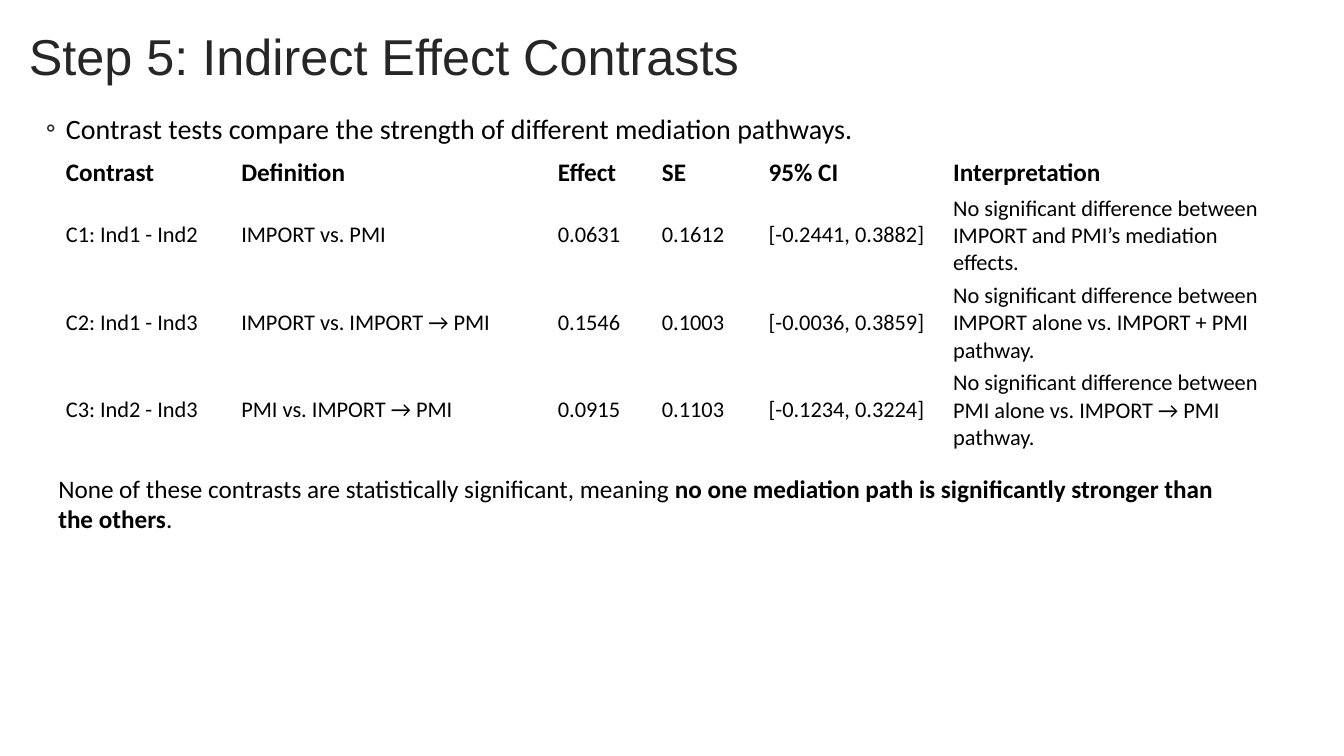
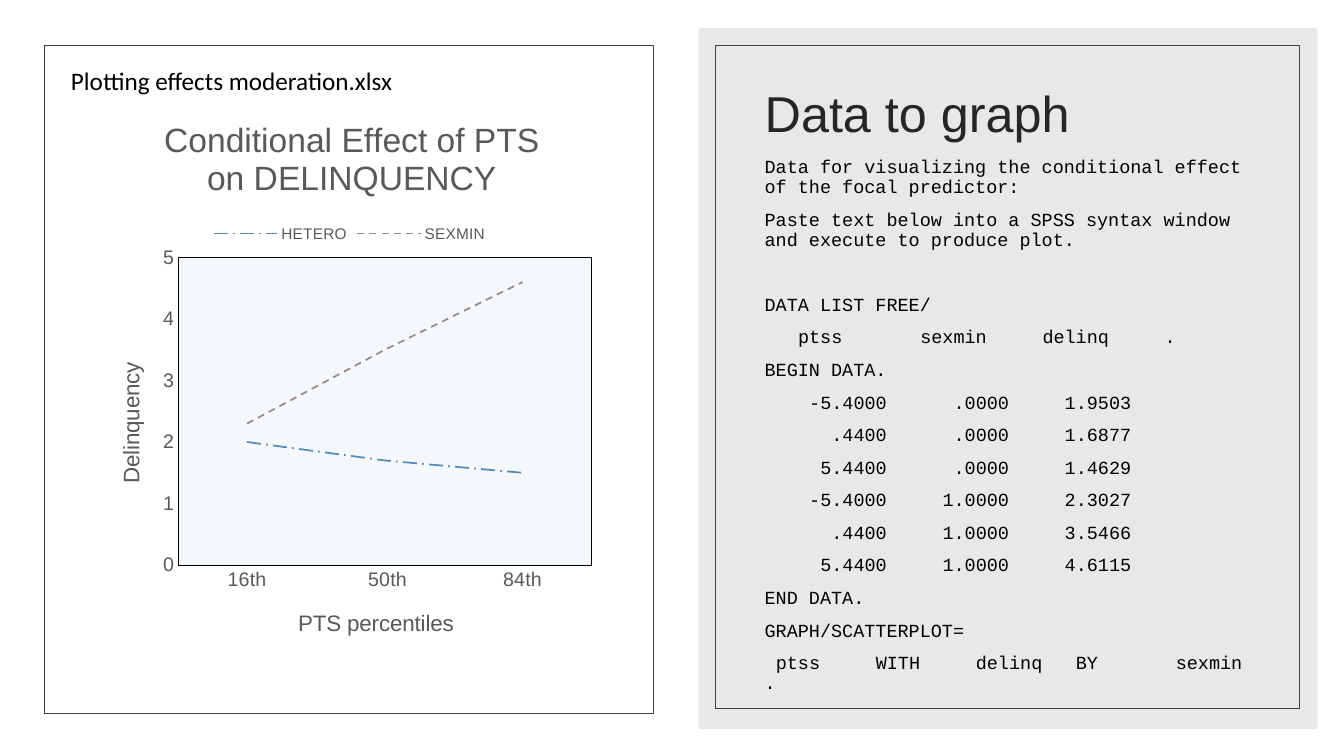
from lxml import etree
from pptx import Presentation
from pptx.chart.data import CategoryChartData
from pptx.dml.color import RGBColor
from pptx.enum.chart import XL_CHART_TYPE, XL_LEGEND_POSITION, XL_MARKER_STYLE, XL_TICK_MARK
from pptx.enum.dml import MSO_LINE
from pptx.enum.shapes import MSO_SHAPE
from pptx.enum.text import MSO_ANCHOR
from pptx.oxml.ns import qn
from pptx.util import Cm, Pt

LINE_CHART = XL_CHART_TYPE.LINE
LEGEND_TOP = XL_LEGEND_POSITION.TOP
NO_MARKER = XL_MARKER_STYLE.NONE
NO_TICK = XL_TICK_MARK.NONE
LONG_DASH_DOT, DASH = MSO_LINE.LONG_DASH_DOT, MSO_LINE.DASH
RECTANGLE = MSO_SHAPE.RECTANGLE
TOP, MIDDLE = MSO_ANCHOR.TOP, MSO_ANCHOR.MIDDLE

COLORS = {
    "text": "000000", "title": "262626", "chart_text": "595959", "frame": "404040",
    "panel": "D9D9D9", "plot": "D4E2ED", "hetero": "558BB8", "sexmin": "968C8C",
}
STYLES = {
    "title": {"name": "Arial", "size": Pt(36), "color": "title"},
    "bullet": {"name": "Calibri", "size": Pt(20), "color": "text"},
    "body": {"name": "Calibri", "size": Pt(18), "color": "text"},
    "header": {"name": "Calibri", "size": Pt(18), "color": "text", "bold": True},
    "cell": {"name": "Calibri", "size": Pt(16), "color": "text", "bold": False},
    "code": {"name": "Courier New", "size": Pt(13.2), "color": "text"},
    "chart": {"name": "Arial", "size": Pt(10), "color": "text"},
    "chart_title": {"name": "Arial", "size": Pt(24), "color": "chart_text", "bold": False},
    "axis_title": {"name": "Arial", "size": Pt(16), "color": "chart_text", "bold": False},
    "axis_labels": {"name": "Arial", "size": Pt(14), "color": "chart_text"},
    "legend": {"name": "Arial", "size": Pt(11), "color": "chart_text"},
}

# Contrast slide
CONTRAST_TITLE = "Step 5: Indirect Effect Contrasts"
CONTRAST_BULLET = "Contrast tests compare the strength of different mediation pathways."
CONTRAST_WIDTHS = [4.42, 7.98, 2.62, 2.69, 4.65, 8.51]
CONTRAST_ROWS = [
    ("Contrast", "Definition", "Effect", "SE", "95% CI", "Interpretation"),
    ("C1: Ind1 - Ind2", "IMPORT vs. PMI", "0.0631", "0.1612", "[-0.2441, 0.3882]",
     "No significant difference between IMPORT and PMI’s mediation effects."),
    ("C2: Ind1 - Ind3", "IMPORT vs. IMPORT → PMI", "0.1546", "0.1003", "[-0.0036, 0.3859]",
     "No significant difference between IMPORT alone vs. IMPORT + PMI pathway."),
    ("C3: Ind2 - Ind3", "PMI vs. IMPORT → PMI", "0.0915", "0.1103", "[-0.1234, 0.3224]",
     "No significant difference between PMI alone vs. IMPORT → PMI pathway."),
]
CONCLUSION = [
    ("None of these contrasts are statistically significant, meaning ", False),
    ("no one mediation path is significantly stronger than the others", True),
    (".", False),
]

# Graph slide
GRAPH_TITLE = "Data to graph"
GRAPH_CAPTION = "Plotting effects moderation.xlsx"
GRAPH_DATA = [
    ("-5.4000", ".0000", "1.9503"),
    (".4400", ".0000", "1.6877"),
    ("5.4400", ".0000", "1.4629"),
    ("-5.4000", "1.0000", "2.3027"),
    (".4400", "1.0000", "3.5466"),
    ("5.4400", "1.0000", "4.6115"),
]
# Each line: text cells, character columns where they end, space before in points
GAP, SECTION_GAP = 9, 32.3
SYNTAX_LINES = [
    (["Data for visualizing the conditional effect of the focal predictor:"], [], GAP),
    (["Paste text below into a SPSS syntax window and execute to produce plot."], [], GAP),
    (["DATA LIST FREE/"], [], SECTION_GAP),
    (["ptss", "sexmin", "delinq", "."], [7, 20, 31, 37], GAP),
    (["BEGIN DATA."], [], GAP),
    *[(row, [11, 22, 33], GAP) for row in GRAPH_DATA],
    (["END DATA."], [], GAP),
    (["GRAPH/SCATTERPLOT="], [], GAP),
    (["ptss", "WITH", "delinq", "BY", "sexmin"], [5, 14, 25, 30, 43], GAP),
    (["."], [], 0),
]
CHARACTER_WIDTH = 0.28
CHART_TITLE = "Conditional Effect of PTS on DELINQUENCY"
CATEGORIES = ["16th", " 50th", "84th"]
SERIES = [
    ("HETERO", (2, 1.7, 1.5), "hetero", LONG_DASH_DOT),
    ("SEXMIN", (2.3, 3.5, 4.6), "sexmin", DASH),
]
# Fractions of the chart: left, top and, for the plot, width and height
CHART_LAYOUT = {
    "title": (0.12, 0.02), "category_title": (0.39, 0.9), "value_title": (0.03, 0.46),
    "plot": (0.16, 0.28, 0.82, 0.55),
}
# Position, fill, opacity in percent, line
PANELS = [
    ((1.12, 1.14, 15.35, 16.84), None, None, "frame"),
    ((17.61, 0.71, 15.59, 17.66), "panel", 60, None),
    ((18.02, 1.14, 14.73, 16.72), None, None, "frame"),
]


def rgb(name):
    return RGBColor.from_string(COLORS[name])


def apply_style(font, style):
    for attribute, value in STYLES[style].items():
        if attribute == "color":
            font.color.rgb = rgb(value)
        else:
            setattr(font, attribute, value)


def set_opacity(fill_parent, percent):
    color = fill_parent.find(qn("a:solidFill")).find(qn("a:srgbClr"))
    etree.SubElement(color, qn("a:alpha"), val=str(percent * 1000))


def write(paragraph, text, style, **formats):
    for attribute, value in formats.items():
        setattr(paragraph, attribute, value)
    run = paragraph.add_run()
    run.text = text
    apply_style(run.font, style)
    return run


def add_text_frame(slide, position, anchor=TOP, wrap=True):
    frame = slide.shapes.add_textbox(*map(Cm, position)).text_frame
    frame.word_wrap = wrap
    frame.vertical_anchor = anchor
    return frame


def add_title(slide, text, position):
    frame = add_text_frame(slide, position, MIDDLE)
    write(frame.paragraphs[0], text, "title", line_spacing=0.9)


def add_bullet(paragraph, character, indent):
    properties = paragraph._p.get_or_add_pPr()
    properties.set("marL", str(indent))
    properties.set("indent", str(-indent))
    bullet_color = etree.SubElement(properties, qn("a:buClr"))
    etree.SubElement(bullet_color, qn("a:srgbClr"), val=COLORS["title"])
    etree.SubElement(properties, qn("a:buFont"), typeface=STYLES["bullet"]["name"])
    etree.SubElement(properties, qn("a:buChar"), char=character)


def add_right_tabs(paragraph, columns):
    tab_list = etree.SubElement(paragraph._p.get_or_add_pPr(), qn("a:tabLst"))
    for column in columns:
        etree.SubElement(tab_list, qn("a:tab"), pos=str(Cm(column * CHARACTER_WIDTH)), algn="r")


def add_contrast_table(slide):
    row_heights = [0.94] + [2.2] * (len(CONTRAST_ROWS) - 1)
    table = slide.shapes.add_table(
        len(CONTRAST_ROWS), len(CONTRAST_WIDTHS), Cm(1.53), Cm(3.89),
        Cm(sum(CONTRAST_WIDTHS)), Cm(sum(row_heights))).table
    table.first_row = table.horz_banding = False
    for column, width in zip(table.columns, CONTRAST_WIDTHS):
        column.width = Cm(width)
    cell_formats = {
        "vertical_anchor": MIDDLE, "margin_left": Cm(0.13), "margin_right": Cm(0.13),
        "margin_top": Cm(0.08), "margin_bottom": Cm(0.08),
    }
    for row_index, (row, height, texts) in enumerate(zip(table.rows, row_heights, CONTRAST_ROWS)):
        row.height = Cm(height)
        for cell, text in zip(row.cells, texts):
            cell.fill.background()
            for attribute, value in cell_formats.items():
                setattr(cell, attribute, value)
            write(cell.text_frame.paragraphs[0], text, "cell" if row_index else "header")


def place(element, left, top, width=None, height=None):
    """Give a chart part a fixed place, in fractions of the chart."""
    for automatic in element.findall(qn("c:layout")):
        element.remove(automatic)
    layout = etree.Element(qn("c:layout"))
    manual = etree.SubElement(layout, qn("c:manualLayout"))
    values = [("xMode", "edge"), ("yMode", "edge"), ("x", left), ("y", top)]
    if width:
        values = [("layoutTarget", "inner"), *values, ("w", width), ("h", height)]
    for tag, value in values:
        etree.SubElement(manual, qn(f"c:{tag}"), val=str(value))
    text = element.find(qn("c:tx"))
    element.insert(0 if text is None else element.index(text) + 1, layout)


def add_chart_text(title, text, style, part):
    write(title.text_frame.paragraphs[0], text, style)
    place(title._element, *CHART_LAYOUT[part])


def style_plot_area(chart):
    plot_area = chart._chartSpace.chart.plotArea
    place(plot_area, *CHART_LAYOUT["plot"])
    properties = etree.SubElement(plot_area, qn("c:spPr"))
    line = etree.Element(qn("a:ln"), w=str(Pt(0.75)))
    for parent, color in ((properties, "plot"), (line, "text")):
        fill = etree.SubElement(parent, qn("a:solidFill"))
        etree.SubElement(fill, qn("a:srgbClr"), val=COLORS[color])
    properties.append(line)
    set_opacity(properties, 23)


def add_effect_chart(slide):
    data = CategoryChartData()
    data.categories = CATEGORIES
    for name, values, _, _ in SERIES:
        data.add_series(name, values)
    chart = slide.shapes.add_chart(
        LINE_CHART, Cm(2.46), Cm(2.54), Cm(12.7), Cm(14.1), data).chart
    apply_style(chart.font, "chart")
    chart.has_title = True
    add_chart_text(chart.chart_title, CHART_TITLE, "chart_title", "title")
    chart.has_legend = True
    chart.legend.position = LEGEND_TOP
    chart.legend.include_in_layout = False
    apply_style(chart.legend.font, "legend")

    axes = [(chart.category_axis, "PTS percentiles", "category_title"),
            (chart.value_axis, "Delinquency", "value_title")]
    for axis, title, part in axes:
        axis.has_major_gridlines = False
        axis.major_tick_mark = axis.minor_tick_mark = NO_TICK
        apply_style(axis.tick_labels.font, "axis_labels")
        add_chart_text(axis.axis_title, title, "axis_title", part)
    chart.category_axis.format.line.color.rgb = rgb("text")
    chart.category_axis.format.line.width = Pt(0.75)
    value_axis = chart.value_axis
    value_axis.format.line.fill.background()
    value_axis.minimum_scale, value_axis.maximum_scale, value_axis.major_unit = 0, 5, 1

    plot = chart.plots[0]
    plot.vary_by_categories = False
    for series, (_, _, color, dash) in zip(plot.series, SERIES):
        series.smooth = False
        series.marker.style = NO_MARKER
        line = series.format.line
        line.color.rgb = rgb(color)
        line.width = Pt(1.25)
        line.dash_style = dash
    style_plot_area(chart)


def add_panel(slide, position, fill, opacity, line):
    shape = slide.shapes.add_shape(RECTANGLE, *map(Cm, position))
    shape.shadow.inherit = False
    if fill:
        shape.fill.solid()
        shape.fill.fore_color.rgb = rgb(fill)
        set_opacity(shape._element.spPr, opacity)
    else:
        shape.fill.background()
    if line:
        shape.line.color.rgb = rgb(line)
        shape.line.width = Pt(0.5)
    else:
        shape.line.fill.background()


def build_contrast_slide(slide):
    add_title(slide, CONTRAST_TITLE, (0.48, 0.48, 27.94, 2))
    bullet = add_text_frame(slide, (0.91, 2.51, 27.94, 1.3)).paragraphs[0]
    write(bullet, CONTRAST_BULLET, "bullet", line_spacing=1.2, space_before=Pt(GAP))
    add_bullet(bullet, "◦", Cm(0.5))
    add_contrast_table(slide)
    conclusion = add_text_frame(slide, (1.22, 11.8, 30.02, 1.8)).paragraphs[0]
    for text, bold in CONCLUSION:
        write(conclusion, text, "body").font.bold = bold


def build_graph_slide(slide):
    for panel in PANELS:
        add_panel(slide, *panel)
    add_title(slide, GRAPH_TITLE, (19.02, 2.01, 12.78, 1.83))
    frame = add_text_frame(slide, (19.02, 3.85, 13.34, 14.53))
    for index, (cells, columns, gap) in enumerate(SYNTAX_LINES):
        paragraph = frame.add_paragraph() if index else frame.paragraphs[0]
        text = "".join(f"\t{cell}" for cell in cells) if columns else cells[0]
        write(paragraph, text, "code", line_spacing=0.9, space_before=Pt(gap))
        if columns:
            add_right_tabs(paragraph, columns)
    add_effect_chart(slide)
    caption = add_text_frame(slide, (1.54, 1.52, 8.74, 1.02), wrap=False)
    write(caption.paragraphs[0], GRAPH_CAPTION, "body")


def main():
    presentation = Presentation()
    presentation.slide_width, presentation.slide_height = Cm(33.87), Cm(19.05)
    blank_layout = presentation.slide_layouts[6]
    for build in (build_contrast_slide, build_graph_slide):
        build(presentation.slides.add_slide(blank_layout))
    presentation.save("out.pptx")


if __name__ == "__main__":
    main()
